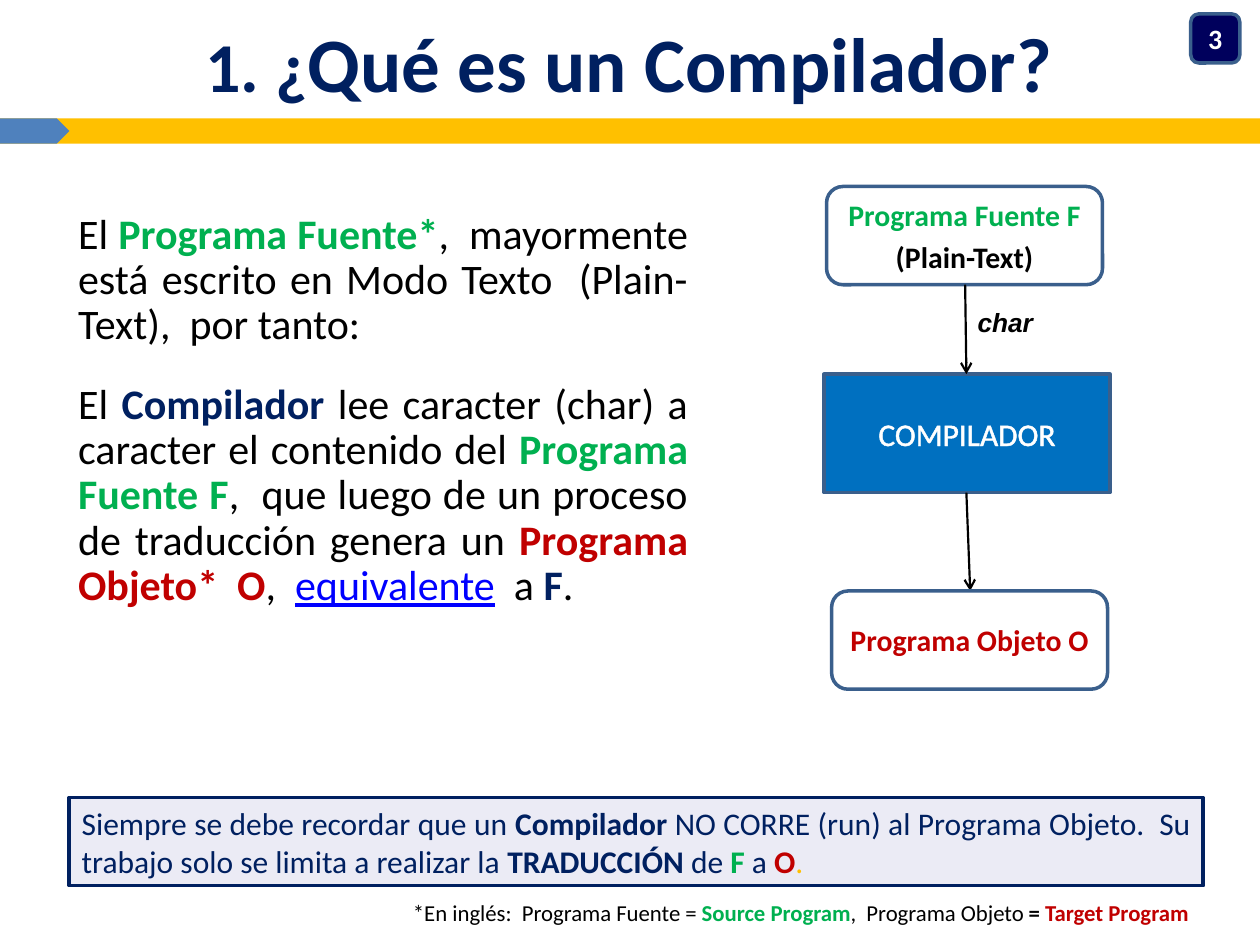
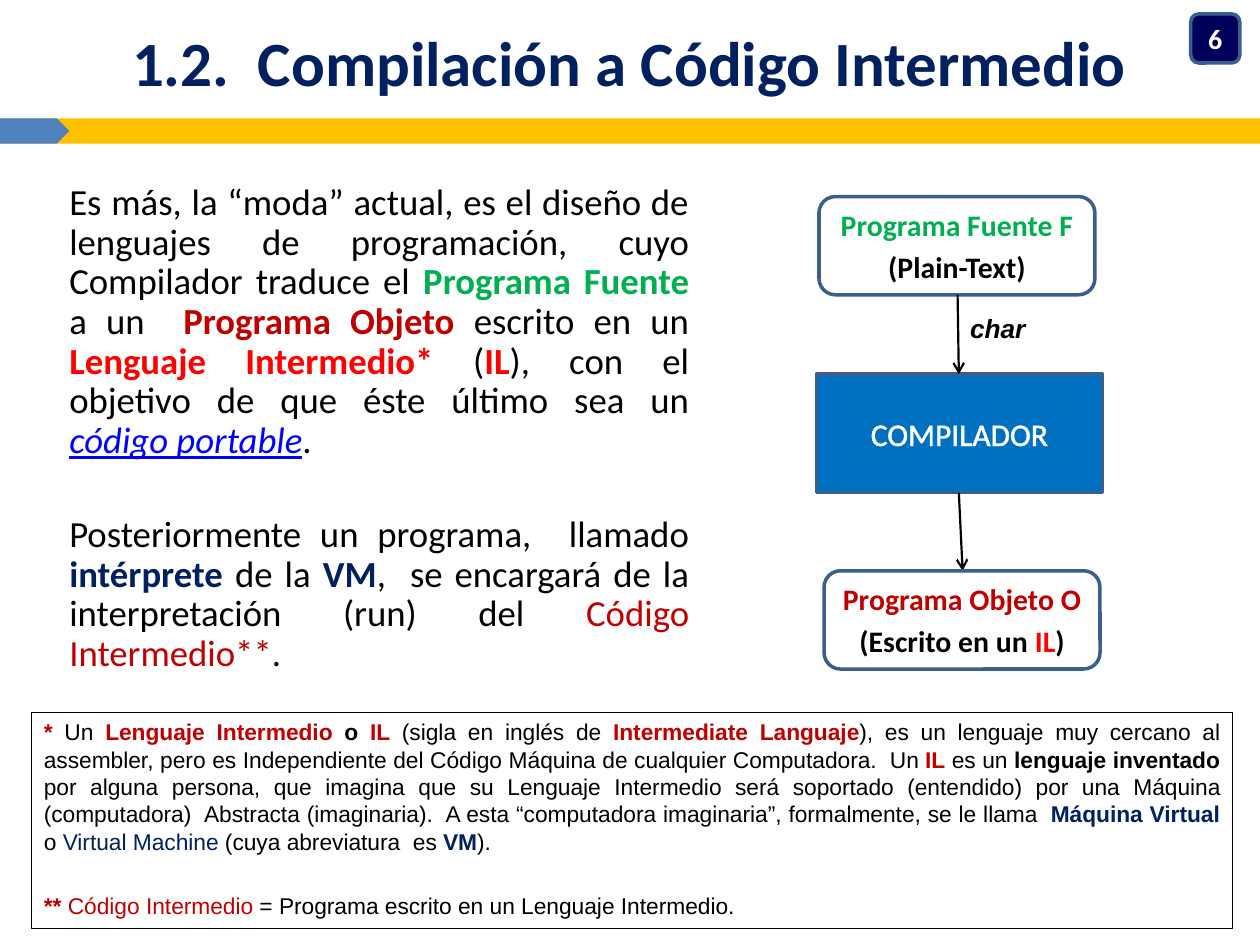
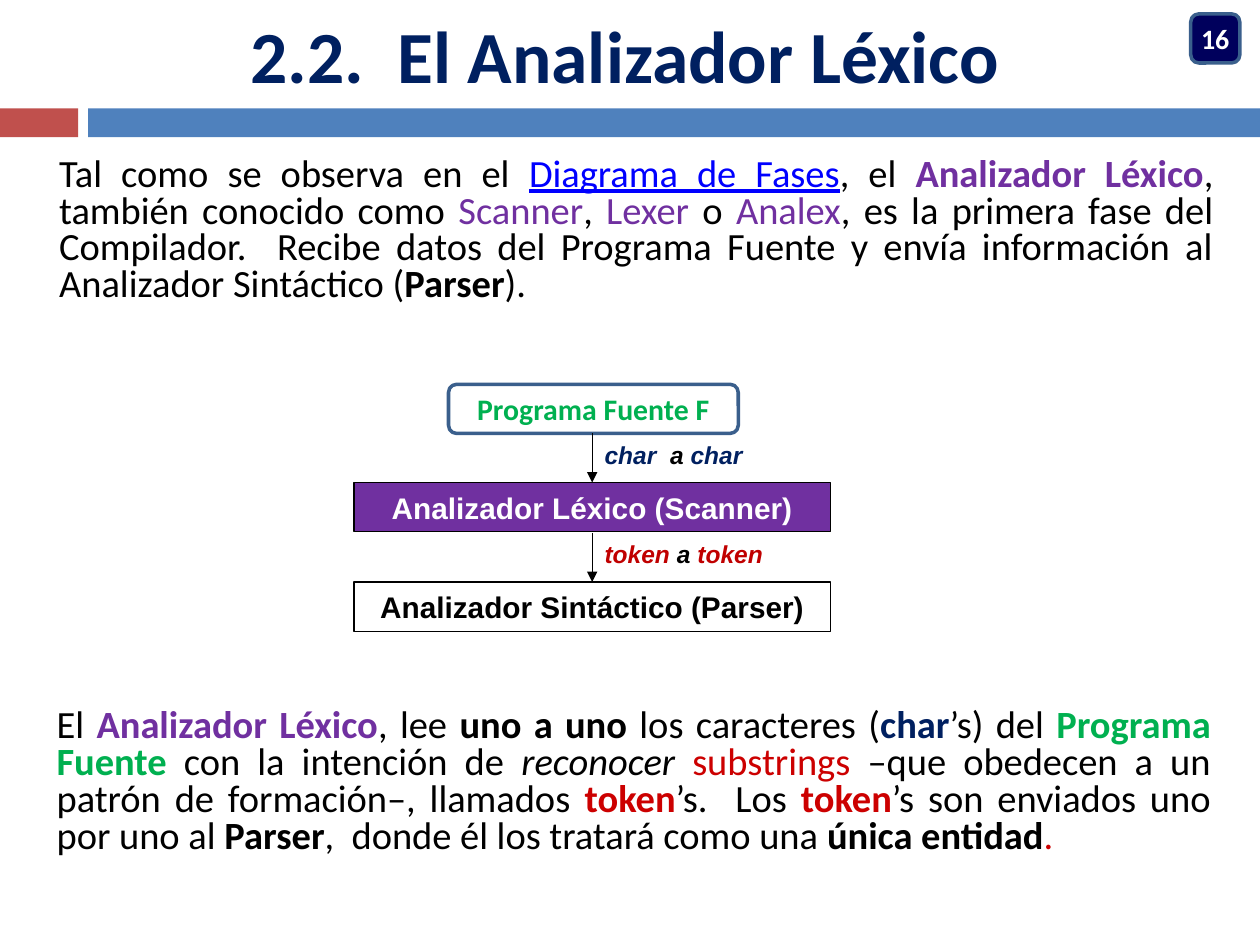
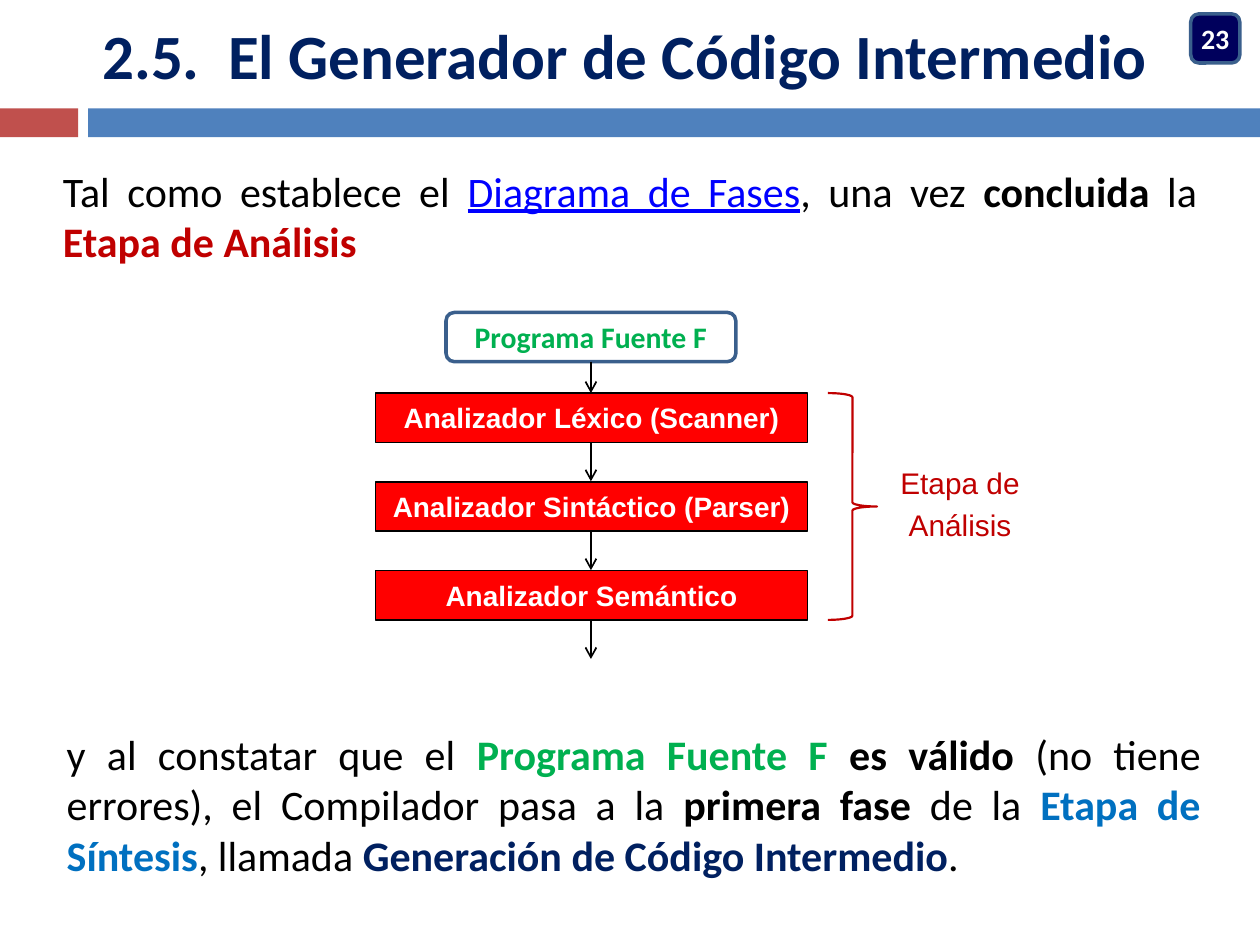
from lxml import etree
from pptx import Presentation
from pptx import util as u
from pptx.dml.color import RGBColor
from pptx.enum import shapes, text
from pptx.oxml.ns import qn

COLORS = {
    "black": "000000", "white": "FFFFFF", "navy": "002060", "green": "00B050",
    "crimson": "C00000", "red": "FF0000", "token": "CC0000", "gold": "FFC000",
    "blue": "4F81BD", "brick": "C0504D", "cobalt": "0070C0", "link": "0000FF",
    "purple": "7030A0", "outline": "3A5F8C", "badge": "00005C", "lilac": "EBEBF5",
}
KINDS = shapes.MSO_SHAPE
ALIGN = text.PP_ALIGN
ANCHOR = text.MSO_ANCHOR
DEFAULT_INSETS = (0.1, 0.05, 0.1, 0.05)
NO_INSETS = (0, 0, 0, 0)
SIDES_FLUSH = (0, 0.05, 0, 0.05)
SOURCE = ("Programa Fuente F", "green")


def rgb(name):
    """Return the palette colour called name."""
    return RGBColor.from_string(COLORS[name])


def write_text(shape, paragraphs, size=17, font="Calibri", color="black", style="",
               align=ALIGN.CENTER, anchor=ANCHOR.MIDDLE, insets=DEFAULT_INSETS,
               spacing=None, gap=None, wrap=True):
    """Fill a shape with paragraphs of runs: plain text or (text, color, style)."""
    frame = shape.text_frame
    frame.word_wrap = wrap
    frame.vertical_anchor = anchor
    (frame.margin_left, frame.margin_top,
     frame.margin_right, frame.margin_bottom) = map(u.Inches, insets)
    for index, runs in enumerate(paragraphs):
        paragraph = frame.paragraphs[0] if index == 0 else frame.add_paragraph()
        paragraph.alignment = align
        if spacing:
            paragraph.line_spacing = spacing
        if index:
            paragraph.space_before = u.Pt(gap or size * 0.2)
        for item in runs:
            parts = (item,) if isinstance(item, str) else item
            words, run_color, run_style = parts + (color, style)[len(parts) - 1:]
            run = paragraph.add_run()
            run.text = words
            run.font.name = font
            run.font.size = u.Pt(size)
            run.font.color.rgb = rgb(run_color)
            run.font.bold = "b" in run_style
            run.font.italic = "i" in run_style
            run.font.underline = "u" in run_style


def add_text(slide, box, paragraphs, **formats):
    """Add a text box with formatted text."""
    shape = slide.shapes.add_textbox(*map(u.Inches, box))
    write_text(shape, paragraphs, **formats)
    return shape


def add_box(slide, kind, box, fill=None, line=None, width=2, paragraphs=(), **formats):
    """Add a flat preset shape, with text when given."""
    shape = slide.shapes.add_shape(kind, *map(u.Inches, box))
    shape.shadow.inherit = False
    if fill:
        shape.fill.solid()
        shape.fill.fore_color.rgb = rgb(fill)
    else:
        shape.fill.background()
    if line:
        shape.line.color.rgb = rgb(line)
        shape.line.width = u.Pt(width)
    else:
        shape.line.fill.background()
    if paragraphs:
        write_text(shape, paragraphs, **formats)
    return shape


def add_arrow(slide, start, end, width=1.25, head="arrow"):
    """Add a black straight arrow."""
    arrow = slide.shapes.add_connector(
        shapes.MSO_CONNECTOR.STRAIGHT, *map(u.Inches, start + end))
    arrow.line.color.rgb = rgb("black")
    arrow.line.width = u.Pt(width)
    etree.SubElement(arrow.line._get_or_add_ln(), qn("a:tailEnd"), type=head)
    etree.SubElement(arrow._element.spPr, qn("a:effectLst"))


def outline_text(shape, color, width):
    """Draw an outline round the letters of a shape."""
    for run in shape.text_frame.paragraphs[0].runs:
        line = etree.Element(qn("a:ln"), w=str(u.Pt(width)))
        fill = etree.SubElement(line, qn("a:solidFill"))
        etree.SubElement(fill, qn("a:srgbClr"), val=COLORS[color])
        run.font._element.insert(0, line)


def add_badge(slide, number):
    """Add the slide number in the top right corner."""
    add_box(slide, KINDS.ROUNDED_RECTANGLE, (9.45, 0.11, 0.39, 0.39), "badge", "outline",
            paragraphs=[[number]], size=16, color="white", style="b", insets=SIDES_FLUSH)


def start_slide(presentation):
    """Add a blank slide."""
    return presentation.slides.add_slide(presentation.slide_layouts[6])


def start_gold_slide(presentation, title, size, number):
    """Add a slide with the gold band and blue arrow tab."""
    slide = start_slide(presentation)
    add_box(slide, KINDS.RECTANGLE, (0, 0.94, 10, 0.2), "gold")
    add_text(slide, (0.23, 0.13, 9.53, 1.04), [title], size=size, color="navy", style="b",
             insets=(0.1, 0.05, 0.1, 0.37))
    add_box(slide, KINDS.PENTAGON, (0, 0.94, 0.55, 0.2), "blue")
    add_badge(slide, number)
    return slide


def start_blue_slide(presentation, title, size, number):
    """Add a slide with the split red and blue band."""
    slide = start_slide(presentation)
    add_box(slide, KINDS.RECTANGLE, (0, 0.86, 0.62, 0.23), "brick")
    add_box(slide, KINDS.RECTANGLE, (0.7, 0.86, 9.3, 0.23), "blue")
    add_text(slide, (0, 0, 9.92, 0.86), [[title]], size=size, color="navy", style="b",
             insets=NO_INSETS)
    add_badge(slide, number)
    return slide


def add_body(slide, box, paragraphs, size, **formats):
    """Add justified running text."""
    formats = {"insets": NO_INSETS, **formats}
    add_text(slide, box, paragraphs, size=size, align=ALIGN.JUSTIFY, anchor=ANCHOR.TOP,
             **formats)


def add_program(slide, box, paragraphs, fill=None):
    """Add a rounded box that stands for a program."""
    add_box(slide, KINDS.ROUNDED_RECTANGLE, box, fill, "outline", paragraphs=paragraphs,
            style="b")


def add_label(slide, box, paragraphs, size, style="bi", align=ALIGN.LEFT, **formats):
    """Add an unwrapped label in Arial."""
    add_text(slide, box, paragraphs, size=size, font="Arial", style=style, align=align,
             anchor=ANCHOR.TOP, wrap=False, **formats)


def add_phase(slide, box, name, fill, color, size):
    """Add the box of one compiler phase."""
    add_box(slide, KINDS.RECTANGLE, box, fill, "black", 0.75, [[name]], size=size,
            font="Arial", color=color, style="b", wrap=False)


def add_compiler_flow(slide, left, source_top, target_top, target):
    """Draw source program, compiler and target program in a column."""
    compiler_top, compiler_bottom, height = 2.97, 3.91, 0.78
    source_bottom = source_top + height
    add_program(slide, (left + 0.02, source_top, 2.19, height), [[SOURCE], ["(Plain-Text)"]])
    compiler = add_box(slide, KINDS.RECTANGLE, (left, compiler_top, 2.27, 0.94), "cobalt",
                       "outline", paragraphs=[["COMPILADOR"]], size=18, color="white")
    outline_text(compiler, "white", 1.45)
    add_arrow(slide, (left + 1.12, source_bottom), (left + 1.13, compiler_top))
    add_arrow(slide, (left + 1.13, compiler_bottom), (left + 1.16, target_top))
    add_label(slide, (left + 1.12, (source_bottom + compiler_top) / 2 - 0.23, 0.65, 0.35),
              [["char"]], 15)
    add_program(slide, (left + 0.06, target_top, 2.19, height), target)


def build_compiler(presentation):
    """Build the slide that says what a compiler is."""
    slide = start_gold_slide(presentation, ["1. ¿Qué es un Compilador?"], 44, "3")
    number = slide.shapes[1].text_frame.paragraphs[0]
    number.runs[0].text = "1. ¿"
    number.runs[0].font.size = u.Pt(40)
    rest = number.add_run()
    rest.text = "Qué es un Compilador?"
    rest.font.name, rest.font.size, rest.font.bold = "Calibri", u.Pt(44), True
    rest.font.color.rgb = rgb("navy")
    add_body(slide, (0.62, 1.64, 4.84, 3.67), [
        ["El ", ("Programa Fuente*", "green", "b"),
         ",  mayormente está escrito en Modo Texto  (Plain-Text),  por tanto:"],
        ["El ", ("Compilador ", "navy", "b"),
         "lee caracter (char) a caracter el contenido del ",
         ("Programa Fuente F", "green", "b"),
         ",  que luego de un proceso de traducción genera un ",
         ("Programa Objeto*  O", "crimson", "b"), ",  ", ("equivalente", "link", "u"),
         "  a ", ("F", "navy", "b"), "."],
    ], 24, insets=SIDES_FLUSH, spacing=0.9, gap=19.5)
    add_compiler_flow(slide, 6.54, 1.48, 4.69, [[("Programa Objeto O", "crimson")]])
    add_box(slide, KINDS.RECTANGLE, (0.55, 6.33, 9, 0.7), "lilac", "navy", paragraphs=[
        ["Siempre se debe recordar que un ", ("Compilador", "navy", "b"),
         " NO CORRE (run) al Programa Objeto.  Su trabajo solo se limita a realizar la ",
         ("TRADUCCIÓN", "navy", "b"), " de ", ("F", "green", "b"), " a ",
         ("O", "crimson", "b"), (".", "gold")],
    ], size=18, color="navy", align=ALIGN.JUSTIFY, anchor=ANCHOR.TOP)
    add_text(slide, (0.55, 7.11, 8.98, 0.3), [
        ["*En inglés:  Programa Fuente = ", ("Source Program", "green", "b"),
         ",  Programa Objeto", (" = ", "black", "b"), ("Target Program", "crimson", "b")],
    ], size=13, align=ALIGN.RIGHT, anchor=ANCHOR.TOP, spacing=0.9)


def build_intermediate_code(presentation):
    """Build the slide on compiling to intermediate code."""
    slide = start_gold_slide(presentation, ["1.2.  Compilación a Código Intermedio"], 36, "6")
    add_body(slide, (0.55, 1.41, 4.92, 4.06), [
        ["Es más, la “moda” actual, es el diseño de lenguajes de programación, cuyo "
         "Compilador traduce el ", ("Programa Fuente ", "green", "b"), "a un  ",
         ("Programa Objeto", "crimson", "b"), " escrito en un ",
         ("Lenguaje Intermedio* ", "red", "b"), "(", ("IL", "red", "b"),
         "), con el objetivo de que éste último sea un ",
         ("código portable", "link", "iu"), "."],
        ["Posteriormente un programa,  llamado ", ("intérprete", "navy", "b"), " de la ",
         ("VM", "navy", "b"), ",  se encargará de la interpretación (run) del ",
         ("Código Intermedio**", "crimson"), "."],
    ], 21, insets=SIDES_FLUSH, spacing=0.9, gap=31)
    add_compiler_flow(slide, 6.48, 1.56, 4.53, [
        [("Programa Objeto O", "crimson")], ["(Escrito en un ", ("IL", "red"), ")"]])
    add_box(slide, KINDS.RECTANGLE, (0.25, 5.65, 9.53, 1.72), None, "black", 0.25, [
        [("* ", "crimson", "b"), "Un ", ("Lenguaje Intermedio ", "crimson", "b"),
         ("o", "black", "b"), (" IL", "crimson", "b"), " (sigla en inglés de ",
         ("Intermediate Languaje", "crimson", "b"),
         "), es un lenguaje muy cercano al assembler, pero es Independiente del Código "
         "Máquina de cualquier Computadora.  Un ", ("IL", "crimson", "b"), " es un ",
         ("lenguaje inventado", "black", "b"),
         " por alguna persona, que imagina que su Lenguaje Intermedio será soportado "
         "(entendido) por una Máquina (computadora)  Abstracta (imaginaria).  A esta "
         "“computadora imaginaria”, formalmente, se le llama  ",
         ("Máquina Virtual", "navy", "b"), " o ", ("Virtual Machine", "navy"),
         " (cuya abreviatura  es ", ("VM", "navy", "b"), ")."],
        [("** ", "crimson", "b"), ("Código Intermedio", "crimson"),
         " = Programa escrito en un Lenguaje Intermedio."],
    ], size=13, font="Arial", align=ALIGN.JUSTIFY, anchor=ANCHOR.TOP, gap=21)


def build_lexer(presentation):
    """Build the slide on the lexical analyser."""
    slide = start_blue_slide(presentation, "2.2.  El Analizador Léxico", 42, "16")
    add_body(slide, (0.47, 1.25, 9.16, 1.25), [
        ["Tal como se observa en el ", ("Diagrama de Fases", "link", "u"), ", el ",
         ("Analizador Léxico", "purple", "b"), ", también conocido como ",
         ("Scanner", "purple"), ", ", ("Lexer", "purple"), " o ", ("Analex", "purple"),
         ", es la primera fase del Compilador.  Recibe datos del Programa Fuente y envía "
         "información al Analizador Sintáctico (", ("Parser", "black", "b"), ")."],
    ], 22, spacing=0.8)
    add_program(slide, (3.56, 3.05, 2.3, 0.39), [[SOURCE]], "white")
    steps = [
        ("Analizador Léxico (Scanner)", "purple", "white", "char  ", "char", "navy", 1.3),
        ("Analizador Sintáctico (Parser)", "white", "black", "token ", "token", "crimson", 1.46),
    ]
    for index, (name, fill, color, first, second, unit_color, width) in enumerate(steps):
        top = 3.44 + index * 0.79
        add_phase(slide, (2.81, top + 0.39, 3.78, 0.39), name, fill, color, 17)
        add_arrow(slide, (4.7, top), (4.7, top + 0.39), 0.75, "triangle")
        add_label(slide, (4.7, top, width, 0.34),
                  [[(first, unit_color), "a ", (second, unit_color)]], 14)
    add_body(slide, (0.45, 5.63, 9.16, 1.25), [
        ["El ", ("Analizador Léxico", "purple", "b"), ", lee ", ("uno a uno", "black", "b"),
         " los caracteres (", ("char", "navy", "b"), "’s) del ",
         ("Programa Fuente", "green", "b"), " con la intención de ",
         ("reconocer ", "black", "i"), ("substrings ", "token"),
         "–que obedecen a un patrón de formación–, llamados ", ("token", "token", "b"),
         "’s.  Los ", ("token", "token", "b"), "’s son enviados uno por uno al ",
         ("Parser", "black", "b"), ",  donde él los tratará como una ",
         ("única entidad", "black", "b"), (".", "token")],
    ], 22, spacing=0.8)


def build_code_generator(presentation):
    """Build the slide on the intermediate code generator."""
    slide = start_blue_slide(presentation, "2.5.  El Generador de Código Intermedio", 36, "23")
    add_body(slide, (0.5, 1.31, 9, 0.79), [
        ["Tal como establece el ", ("Diagrama de Fases", "link", "u"), ", una vez ",
         ("concluida", "black", "b"), " la ", ("Etapa de Análisis", "crimson", "b")],
    ], 24)
    add_program(slide, (3.54, 2.48, 2.3, 0.39), [[SOURCE]], "white")
    add_arrow(slide, (4.69, 2.87), (4.69, 3.12), 1)
    phases = ["Analizador Léxico (Scanner)", "Analizador Sintáctico (Parser)",
              "Analizador Semántico"]
    for index, name in enumerate(phases):
        top = 3.12 + index * 0.705
        add_phase(slide, (2.98, top, 3.43, 0.39), name, "red", "white", 16)
        add_arrow(slide, (4.69, top + 0.39), (4.69, top + 0.7), 1)
    add_box(slide, KINDS.RIGHT_BRACE, (6.57, 3.12, 0.39, 1.8), None, "crimson", 1.25)
    add_label(slide, (7.04, 3.64, 1.16, 0.73), [["Etapa de"], ["Análisis"]], 17, style="",
              align=ALIGN.CENTER, color="crimson")
    add_body(slide, (0.53, 5.78, 9, 1.25), [
        ["y al constatar que el ", ("Programa Fuente F ", "green", "b"),
         ("es válido ", "black", "b"), "(no tiene errores), el Compilador pasa a la ",
         ("primera fase", "black", "b"), " de la ", ("Etapa de Síntesis", "cobalt", "b"),
         ", llamada ", ("Generación de Código Intermedio", "navy", "b"), "."],
    ], 24)


def main():
    """Build and save the presentation."""
    presentation = Presentation()
    presentation.slide_width = u.Inches(10)
    presentation.slide_height = u.Inches(7.5)
    build_compiler(presentation)
    build_intermediate_code(presentation)
    build_lexer(presentation)
    build_code_generator(presentation)
    presentation.save("out.pptx")


if __name__ == "__main__":
    main()
